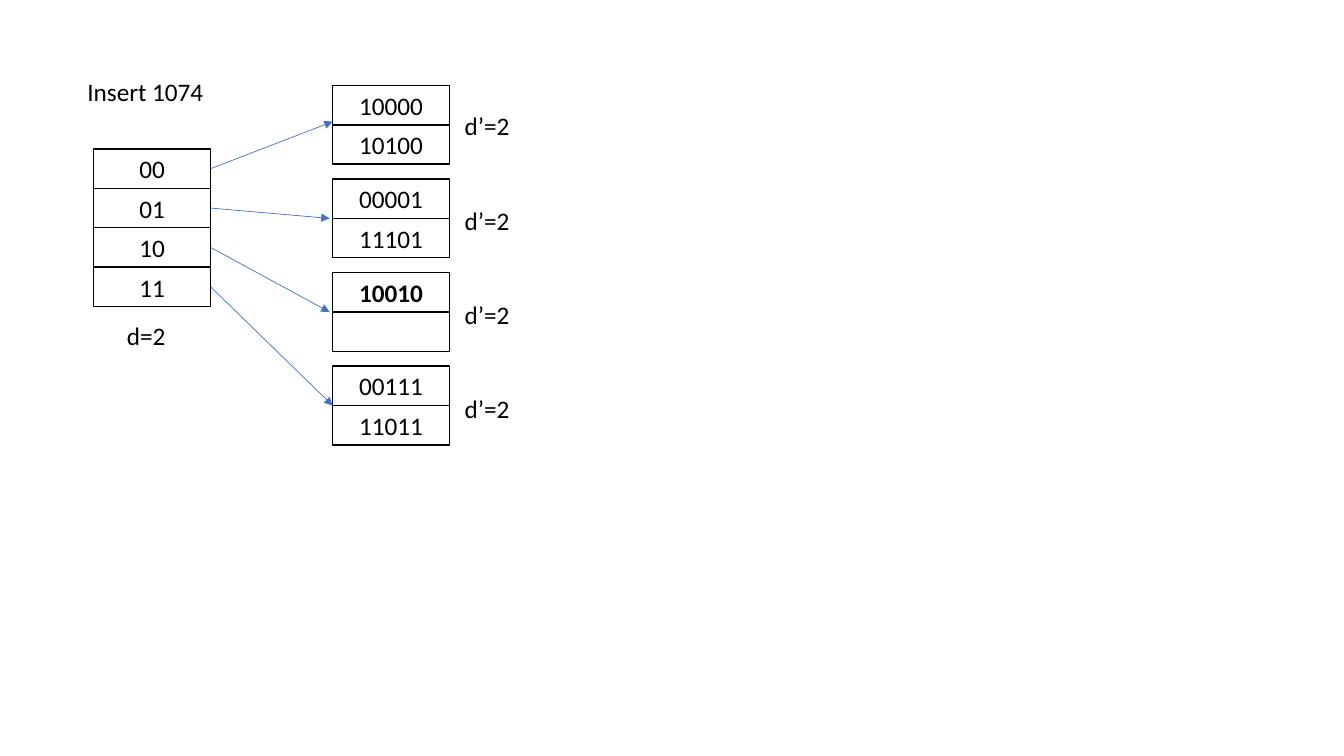
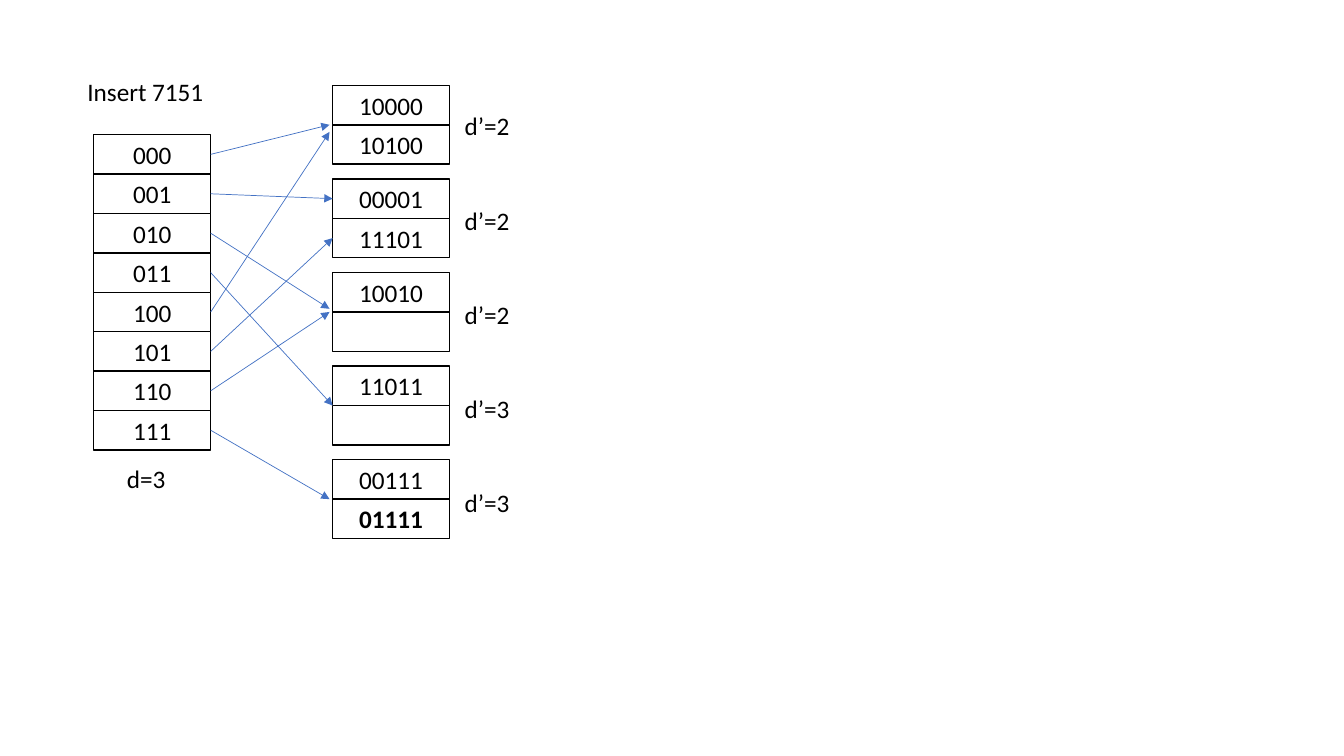
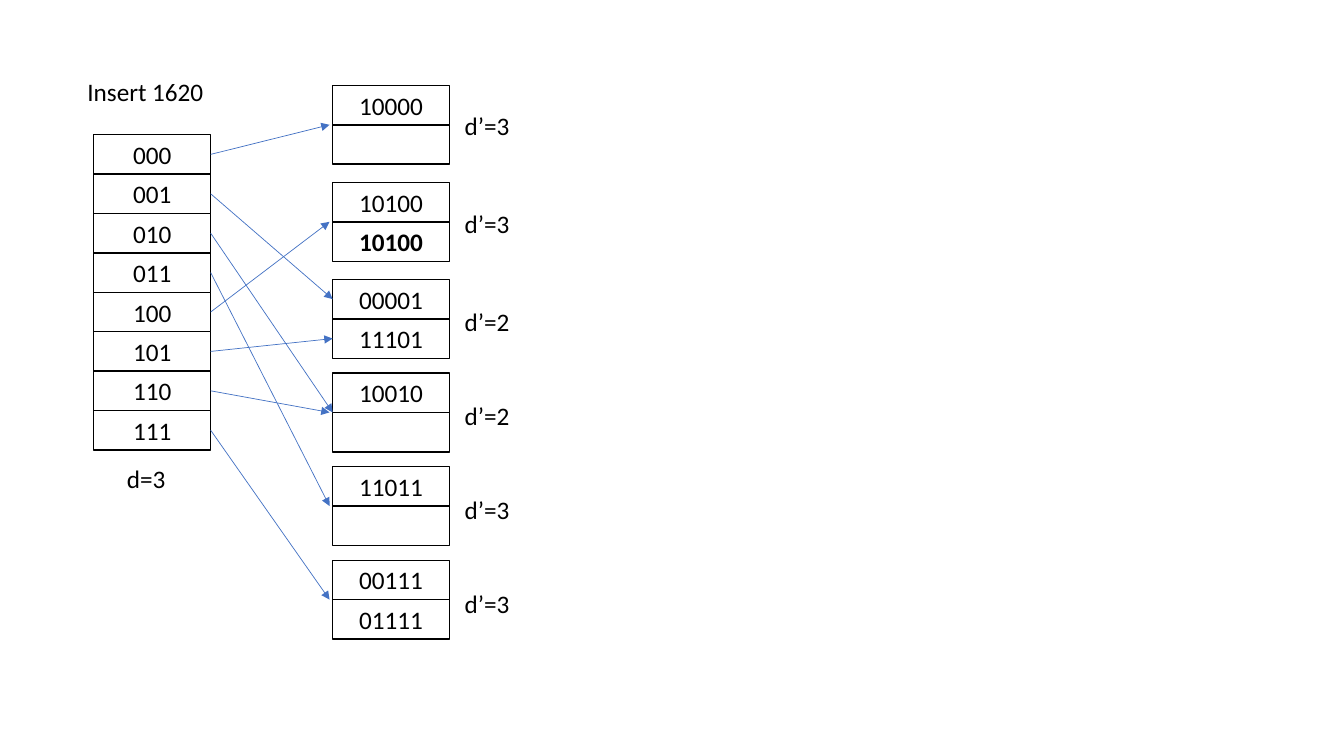
from lxml.etree import SubElement
from pptx import Presentation
from pptx.dml.color import RGBColor
from pptx.enum.shapes import MSO_CONNECTOR, MSO_SHAPE
from pptx.enum.text import MSO_ANCHOR, MSO_AUTO_SIZE, PP_ALIGN
from pptx.oxml.ns import qn
from pptx.util import Pt

# Arrow targets: distance left of the bucket, height in cells below its top
JOINT, EDGE, UPPER, LOWER = (2.2, 1), (0, 1), (0, 0.5), (0, 1.5)
ABOVE_EDGE, ABOVE_JOINT, BELOW_JOINT = (0, 0.92), (2.2, 0.92), (2.2, 1.18)

# Content: buckets are (local depth, keys); links are (bucket, target), one per
# directory row; inserted is (bucket, slot) of the new key
STEPS = [
    {
        "title": "Insert 1074", "depth": 2, "directory_top": 106.4,
        "first_pitches": [], "inserted": (2, 0),
        "buckets": [(2, ["10000", "10100"]), (2, ["00001", "11101"]),
                    (2, ["10010", ""]), (2, ["00111", "11011"])],
        "links": [(0, ABOVE_EDGE), (1, JOINT), (2, JOINT), (3, EDGE)],
    },
    {
        "title": "Insert 7151", "depth": 3, "directory_top": 96.2,
        "first_pitches": [], "inserted": (4, 1),
        "buckets": [(2, ["10000", "10100"]), (2, ["00001", "11101"]),
                    (2, ["10010", ""]), (3, ["11011", ""]),
                    (3, ["00111", "01111"])],
        "links": [(0, JOINT), (1, UPPER), (2, ABOVE_JOINT), (3, EDGE),
                  (0, BELOW_JOINT), (1, LOWER), (2, JOINT), (4, JOINT)],
    },
    {
        "title": "Insert 1620", "depth": 3, "directory_top": 96.2,
        "first_pitches": [69.3, 69.3], "inserted": (1, 1),
        "buckets": [(3, ["10000", ""]), (3, ["10100", "10100"]),
                    (2, ["00001", "11101"]), (2, ["10010", ""]),
                    (3, ["11011", ""]), (3, ["00111", "01111"])],
        "links": [(0, JOINT), (2, UPPER), (3, EDGE), (4, JOINT),
                  (1, JOINT), (2, LOWER), (3, JOINT), (5, JOINT)],
    },
]

# Shared style and layout, in points
COLORS = {"ink": "000000", "cell": "FFFFFF", "arrow": "4472C4"}
FONT, FONT_SIZE = "Calibri", 18
CELL_WIDTH, CELL_HEIGHT = 83.5, 28.15
DIRECTORY_LEFT, BUCKET_LEFT = 67, 237.6
BUCKET_TOP, BUCKET_PITCH = 61, 66.85
LABEL_LEFT, LABEL_DROP, LABEL_DRIFT = 324.8, 14.5, 0.4
TEXT_HEIGHT = 29


def color(name):
    return RGBColor.from_string(COLORS[name])


def add_words(paragraph, words, bold=False):
    span = paragraph.add_run()
    span.text = words
    span.font.name = FONT
    span.font.size = Pt(FONT_SIZE)
    span.font.bold = bold
    span.font.color.rgb = color("ink")


def add_cell(page, left, top, words, bold=False):
    box = page.shapes.add_shape(MSO_SHAPE.RECTANGLE, Pt(left), Pt(top),
                                Pt(CELL_WIDTH), Pt(CELL_HEIGHT))
    box.shadow.inherit = False
    box.fill.solid()
    box.fill.fore_color.rgb = color("cell")
    box.line.color.rgb = color("ink")
    box.line.width = Pt(1)
    box.text_frame.vertical_anchor = MSO_ANCHOR.MIDDLE
    if words:
        paragraph = box.text_frame.paragraphs[0]
        paragraph.alignment = PP_ALIGN.CENTER
        add_words(paragraph, words, bold)


def add_label(page, left, top, width, words, wrap=False):
    box = page.shapes.add_textbox(Pt(left), Pt(top), Pt(width), Pt(TEXT_HEIGHT))
    box.text_frame.word_wrap = wrap
    box.text_frame.auto_size = MSO_AUTO_SIZE.SHAPE_TO_FIT_TEXT
    add_words(box.text_frame.paragraphs[0], words)


def add_arrow(page, start, end):
    arrow = page.shapes.add_connector(MSO_CONNECTOR.STRAIGHT,
                                      *[Pt(value) for value in start + end])
    arrow.line.color.rgb = color("arrow")
    arrow.line.width = Pt(0.5)
    SubElement(arrow.line._get_or_add_ln(), qn("a:tailEnd"), type="triangle")
    SubElement(arrow._element.spPr, qn("a:effectLst"))


def bucket_tops(step):
    count = len(step["buckets"])
    pitches = (step["first_pitches"] + [BUCKET_PITCH] * count)[:count]
    return [BUCKET_TOP + sum(pitches[:index]) for index in range(count)]


def draw_step(page, step):
    depth, top = step["depth"], step["directory_top"]
    tops = bucket_tops(step)
    add_label(page, 55.4, 51.1, 122.4, step["title"], wrap=True)

    # Buckets with their local depth
    for index, (local_depth, keys) in enumerate(step["buckets"]):
        for slot, key in enumerate(keys):
            add_cell(page, BUCKET_LEFT, tops[index] + slot * CELL_HEIGHT, key,
                     bold=(index, slot) == step["inserted"])
        label_top = tops[index] + LABEL_DROP + index * LABEL_DRIFT
        add_label(page, LABEL_LEFT, label_top, 46.8, f"d’={local_depth}")

    # Directory rows with their arrows
    for row, (bucket, (gap, drop)) in enumerate(step["links"]):
        row_top = top + row * CELL_HEIGHT
        add_cell(page, DIRECTORY_LEFT, row_top, format(row, f"0{depth}b"))
        add_arrow(page, (DIRECTORY_LEFT + CELL_WIDTH, row_top + CELL_HEIGHT / 2),
                  (BUCKET_LEFT - gap, tops[bucket] + drop * CELL_HEIGHT))
    bottom = top + len(step["links"]) * CELL_HEIGHT
    add_label(page, 83.5, bottom + 6.3, 42.5, f"d={depth}")


deck = Presentation()
deck.slide_width, deck.slide_height = Pt(960), Pt(540)
for step in STEPS:
    draw_step(deck.slides.add_slide(deck.slide_layouts[6]), step)
deck.save("out.pptx")
